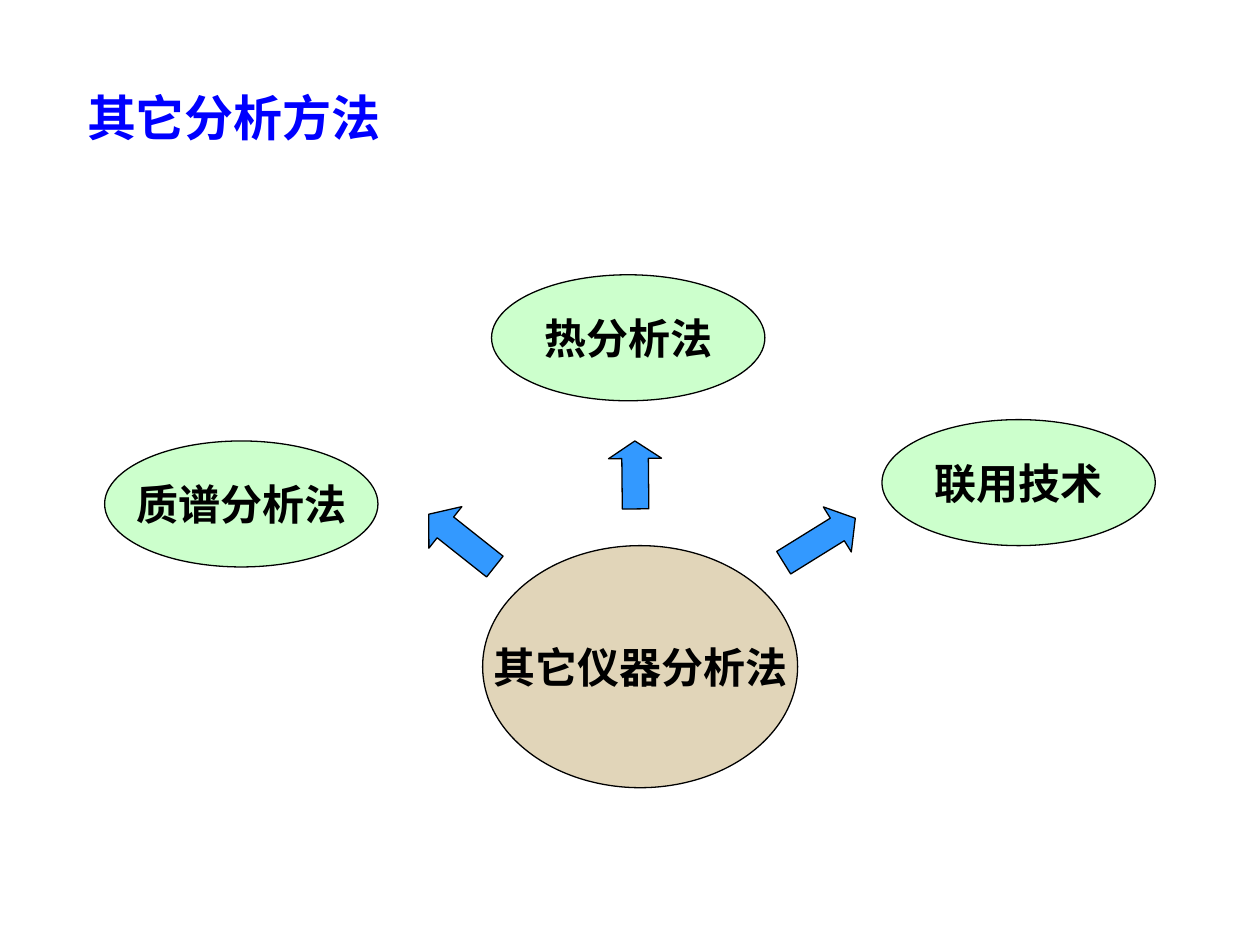
from dataclasses import dataclass

import pptx
import pptx.dml.color
import pptx.enum.shapes
import pptx.enum.text
import pptx.oxml.ns
import pptx.util
from lxml import etree

Cm = pptx.util.Cm
Shape = pptx.enum.shapes.MSO_SHAPE
Align = pptx.enum.text.PP_ALIGN
Anchor = pptx.enum.text.MSO_ANCHOR


@dataclass(frozen=True)
class Theme:
    title_color: str = "0000FF"
    ink: str = "000000"
    hub_fill: str = "E1D5B9"
    method_fill: str = "CCFFCC"
    arrow_fill: str = "3399FF"
    title_size: int = 28
    label_size: int = 24
    line_width: float = 0.75
    title_font: str = "Noto Sans CJK SC"
    label_font: str = "Arial"
    chinese_font: str = "Noto Sans CJK SC"


def apply_format(target, values):
    for attribute, value in values.items():
        setattr(target, attribute, value)


def rgb(value):
    return pptx.dml.color.RGBColor.from_string(value)


class SlideBuilder:
    def __init__(self, slide, theme):
        self.slide = slide
        self.theme = theme

    def label(self, holder, text, font_name, size, color, align, wrap):
        frame = holder.text_frame
        apply_format(frame, {
            "word_wrap": wrap,
            "auto_size": pptx.enum.text.MSO_AUTO_SIZE.NONE,
            "vertical_anchor": Anchor.MIDDLE,
        })
        paragraph = frame.paragraphs[0]
        paragraph.alignment = align
        run = paragraph.add_run()
        run.text = text
        apply_format(run.font, {
            "name": font_name, "size": pptx.util.Pt(size), "bold": True,
        })
        run.font.color.rgb = rgb(color)
        chinese = etree.SubElement(
            run._r.get_or_add_rPr(), pptx.oxml.ns.qn("a:ea"))
        chinese.set("typeface", self.theme.chinese_font)

    def title(self, text, left, top, width, height):
        heading = self.slide.shapes.title
        apply_format(heading, {
            "left": Cm(left), "top": Cm(top),
            "width": Cm(width), "height": Cm(height),
        })
        self.label(heading, text, self.theme.title_font,
                   self.theme.title_size, self.theme.title_color,
                   Align.LEFT, True)

    def outlined(self, preset, left, top, width, height, fill):
        figure = self.slide.shapes.add_shape(
            preset, Cm(left), Cm(top), Cm(width), Cm(height))
        figure.shadow.inherit = False
        figure.fill.solid()
        figure.fill.fore_color.rgb = rgb(fill)
        figure.line.color.rgb = rgb(self.theme.ink)
        figure.line.width = pptx.util.Pt(self.theme.line_width)
        return figure

    def ellipse(self, text, left, top, width, height, fill):
        bubble = self.outlined(Shape.OVAL, left, top, width, height, fill)
        self.label(bubble, text, self.theme.label_font,
                   self.theme.label_size, self.theme.ink,
                   Align.CENTER, False)

    def arrow(self, left, top, width, height, rotation, head):
        pointer = self.outlined(Shape.LEFT_ARROW, left, top, width, height,
                                self.theme.arrow_fill)
        pointer.rotation = rotation
        pointer.adjustments[0] = 0.5
        pointer.adjustments[1] = head


def main():
    theme = Theme()
    deck = pptx.Presentation()
    apply_format(deck, {"slide_width": Cm(25.4), "slide_height": Cm(19.05)})
    title_only = deck.slide_layouts.get_by_name("Title Only")
    builder = SlideBuilder(deck.slides.add_slide(title_only), theme)

    builder.title("其它分析方法", 1.5, 1.73, 21.59, 1.27)
    builder.ellipse("其它仪器分析法", 9.73, 11, 6.35, 4.88, theme.hub_fill)

    methods = [
        ("质谱分析法", 2.11, 8.89),
        ("联用技术", 17.78, 8.46),
        ("热分析法", 9.91, 5.54),
    ]
    for method, left, top in methods:
        builder.ellipse(method, left, top, 5.51, 2.54, theme.method_fill)

    arrows = [
        (8.46, 10.36, 1.7, 38.4, 0.4),
        (12.12, 9.04, 1.37, 89.4, 0.33),
        (15.67, 10.36, 1.7, 148.2, 0.4),
    ]
    for left, top, length, rotation, head in arrows:
        builder.arrow(left, top, length, 1.07, rotation, head)

    deck.save("out.pptx")


if __name__ == "__main__":
    main()
